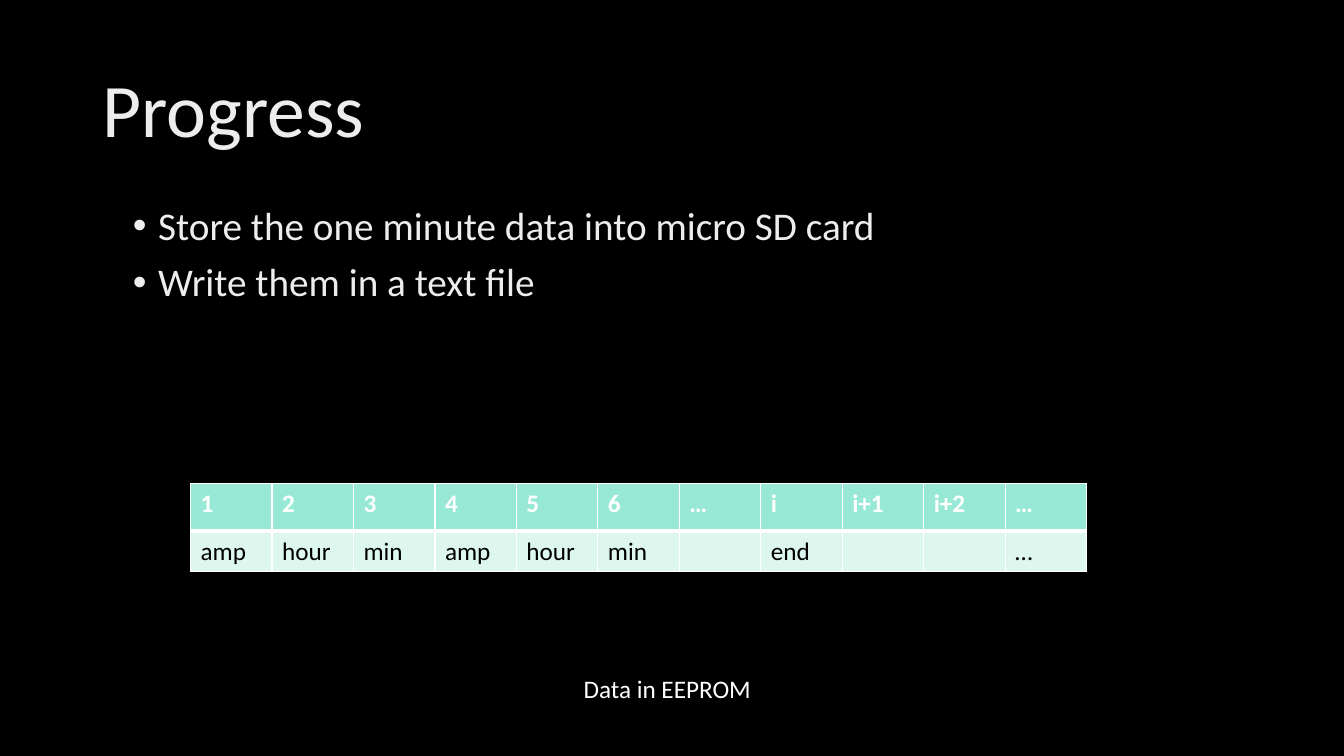
"""Build the Progress slide with the EEPROM data layout table."""
import pptx
import pptx.dml.color
import pptx.enum.text
import pptx.oxml
import pptx.oxml.ns
import pptx.util
from pptx.util import Inches

TITLE = "Progress"
BULLETS = ["Store the one minute data into micro SD card", "Write them in a text file"]
CELLS = [
    ["1", "2", "3", "4", "5", "6", "…", "i", "i+1", "i+2", "…"],
    ["amp", "hour", "min", "amp", "hour", "min", "", "end", "", "", "…"],
]
CAPTION = "Data in EEPROM"
FONT = "Calibri"
COLORS = {
    "background": "000000", "heading": "EDEDED", "white": "FFFFFF",
    "header": "97E9D5", "body": "DDF7EF", "dark": "000000",
}
TABLE_WIDTH = 8.89
ROW_HEIGHTS = [0.47, 0.4]
ANCHOR = pptx.enum.text.MSO_ANCHOR
ALIGN = pptx.enum.text.PP_ALIGN


def rgb(name):
    return pptx.dml.color.RGBColor.from_string(COLORS[name])


def add_span(para, text, size, color, bold=False):
    span = para.add_run()
    span.text = text
    span.font.name = FONT
    span.font.size = pptx.util.Pt(size)
    span.font.bold = bold
    span.font.color.rgb = rgb(color)


def add_bullet(para):
    properties = para._p.get_or_add_pPr()
    properties.set("marL", str(Inches(0.25)))
    properties.set("indent", str(-Inches(0.25)))
    properties.append(pptx.oxml.parse_xml(
        f'<a:buFont {pptx.oxml.ns.nsdecls("a")} typeface="Arial"/>'))
    properties.append(pptx.oxml.parse_xml(
        f'<a:buChar {pptx.oxml.ns.nsdecls("a")} char="•"/>'))


def set_borders(cell, widths):
    properties = cell._tc.get_or_add_tcPr()
    for side, width in widths.items():
        properties.append(pptx.oxml.parse_xml(
            f'<a:ln{side} {pptx.oxml.ns.nsdecls("a")} w="{pptx.util.Pt(width)}">'
            f'<a:solidFill><a:srgbClr val="{COLORS["white"]}"/></a:solidFill></a:ln{side}>'))


def add_title(page):
    title = page.shapes.title
    title.left, title.top = Inches(0.92), Inches(0.4)
    title.width, title.height = Inches(11.5), Inches(1.45)
    title.text_frame.vertical_anchor = ANCHOR.MIDDLE
    para = title.text_frame.paragraphs[0]
    para.alignment = ALIGN.LEFT
    para.line_spacing = 0.9
    add_span(para, TITLE, 54, "heading")


def add_bullets(page):
    box = page.shapes.add_textbox(Inches(1.22), Inches(2), Inches(11.19), Inches(4.76))
    frame = box.text_frame
    frame.word_wrap = True
    for index, text in enumerate(BULLETS):
        para = frame.add_paragraph() if index else frame.paragraphs[0]
        add_bullet(para)
        para.line_spacing = 0.9
        if index:
            para.space_before = pptx.util.Pt(10)
        add_span(para, text, 28, "heading")


def add_data_table(page):
    columns = len(CELLS[0])
    table = page.shapes.add_table(
        len(CELLS), columns, Inches(1.89), Inches(4.8),
        Inches(TABLE_WIDTH), Inches(sum(ROW_HEIGHTS))).table
    for column in table.columns:
        column.width = Inches(TABLE_WIDTH / columns)
    for row, texts in enumerate(CELLS):
        table.rows[row].height = Inches(ROW_HEIGHTS[row])
        header = row == 0
        for column, text in enumerate(texts):
            cell = table.cell(row, column)
            set_borders(cell, {"L": 1, "R": 1, "T": 1 if header else 3, "B": 3 if header else 1})
            cell.fill.solid()
            cell.fill.fore_color.rgb = rgb("header" if header else "body")
            if text:
                add_span(cell.text_frame.paragraphs[0], text, 18,
                         "white" if header else "dark", header)


def add_caption(page):
    box = page.shapes.add_textbox(Inches(5.69), Inches(6.63), Inches(1.96), Inches(0.4))
    box.text_frame.word_wrap = False
    add_span(box.text_frame.paragraphs[0], CAPTION, 18, "white")


def main():
    deck = pptx.Presentation()
    deck.slide_width, deck.slide_height = Inches(13.33), Inches(7.5)
    page = deck.slides.add_slide(deck.slide_layouts[5])
    page.background.fill.solid()
    page.background.fill.fore_color.rgb = rgb("background")
    add_title(page)
    add_bullets(page)
    add_data_table(page)
    add_caption(page)
    deck.save("out.pptx")


if __name__ == "__main__":
    main()
